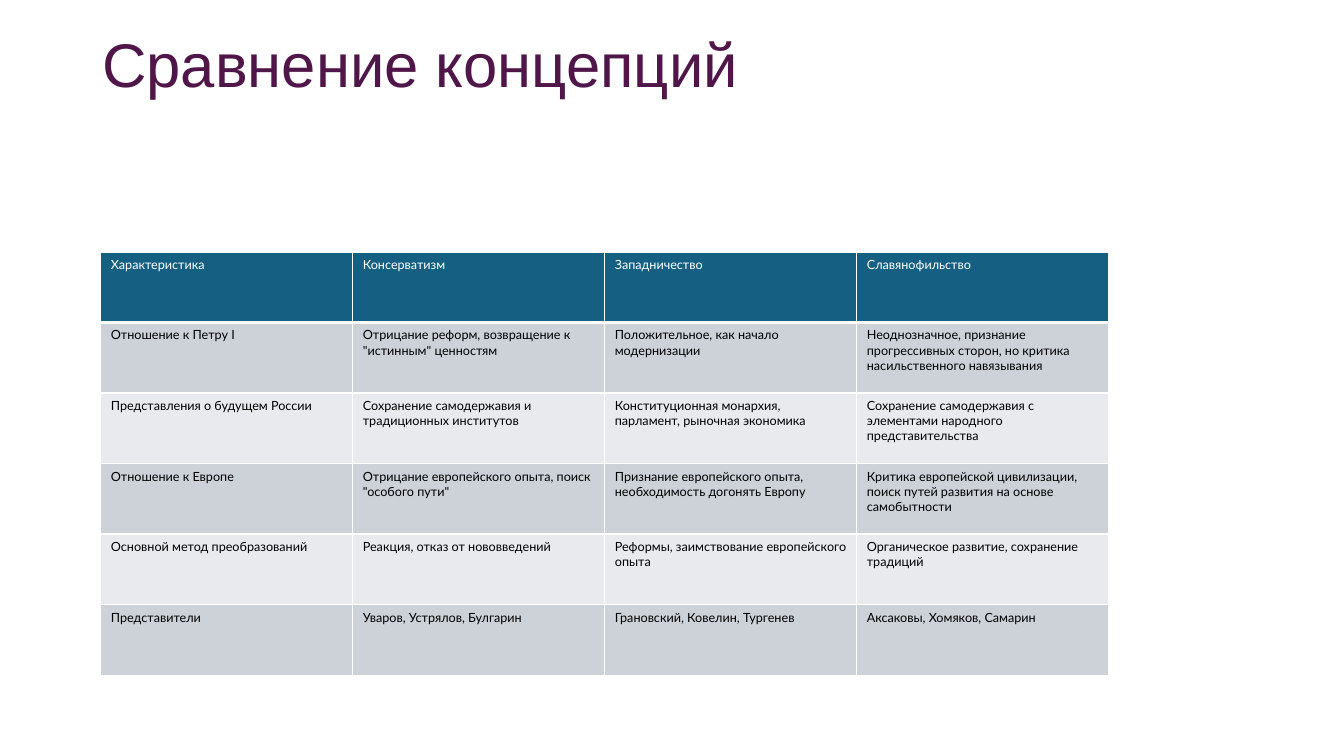
from lxml import etree
from pptx import Presentation
from pptx.dml.color import RGBColor
from pptx.enum.text import MSO_ANCHOR
from pptx.oxml.ns import qn
from pptx.util import Pt

MIDDLE = MSO_ANCHOR.MIDDLE

PLUM = "501649"
TEAL = "156082"
DARK_BAND = "CCD2D8"
LIGHT_BAND = "E8EAED"
WHITE = "FFFFFF"
BLACK = "000000"

COLUMN_WIDTH = 180
ROW_HEIGHT = 50.4

CONCEPTS = [
    ["Характеристика", "Консерватизм", "Западничество", "Славянофильство"],
    [
        "Отношение к Петру I",
        'Отрицание реформ, возвращение к "истинным" ценностям',
        "Положительное, как начало модернизации",
        "Неоднозначное, признание прогрессивных сторон, но критика насильственного навязывания",
    ],
    [
        "Представления о будущем России",
        "Сохранение самодержавия и традиционных институтов",
        "Конституционная монархия, парламент, рыночная экономика",
        "Сохранение самодержавия с элементами народного представительства",
    ],
    [
        "Отношение к Европе",
        'Отрицание европейского опыта, поиск "особого пути"',
        "Признание европейского опыта, необходимость догонять Европу",
        "Критика европейской цивилизации, поиск путей развития на основе самобытности",
    ],
    [
        "Основной метод преобразований",
        "Реакция, отказ от нововведений",
        "Реформы, заимствование европейского опыта",
        "Органическое развитие, сохранение традиций",
    ],
    [
        "Представители",
        "Уваров, Устрялов, Булгарин",
        "Грановский, Ковелин, Тургенев",
        "Аксаковы, Хомяков, Самарин",
    ],
]


def color(value):
    return RGBColor.from_string(value)


def style_font(paragraph, name, size, value):
    font = paragraph.font
    font.name = name
    font.size = Pt(size)
    font.bold = False
    font.color.rgb = color(value)


def add_title(slide, text):
    shape = slide.shapes.add_textbox(Pt(66), Pt(15.84), Pt(828), Pt(64.8))
    frame = shape.text_frame
    frame.word_wrap = True
    frame.vertical_anchor = MIDDLE
    paragraph = frame.paragraphs[0]
    paragraph.text = text
    paragraph.line_spacing = 0.9
    style_font(paragraph, "Arial", 44, PLUM)


def add_borders(cell, bottom_width):
    properties = cell._tc.get_or_add_tcPr()
    for side, width in (("L", 1), ("R", 1), ("T", 1), ("B", bottom_width)):
        line = etree.SubElement(properties, qn(f"a:ln{side}"), w=str(Pt(width)))
        fill = etree.SubElement(line, qn("a:solidFill"))
        etree.SubElement(fill, qn("a:srgbClr"), val=WHITE)


def fill_cell(cell, text, background, foreground, bottom_width):
    add_borders(cell, bottom_width)
    cell.fill.solid()
    cell.fill.fore_color.rgb = color(background)
    paragraph = cell.text_frame.paragraphs[0]
    paragraph.text = text
    style_font(paragraph, "Lato", 9, foreground)


def add_comparison(slide, rows):
    row_count, column_count = len(rows), len(rows[0])
    table = slide.shapes.add_table(
        row_count, column_count, Pt(72), Pt(180),
        Pt(COLUMN_WIDTH * column_count), Pt(ROW_HEIGHT * row_count),
    ).table
    for row_index, texts in enumerate(rows):
        if row_index == 0:
            look = (TEAL, WHITE, 3)
        else:
            look = (DARK_BAND if row_index % 2 else LIGHT_BAND, BLACK, 1)
        for column_index, text in enumerate(texts):
            fill_cell(table.cell(row_index, column_index), text, *look)


def main():
    presentation = Presentation()
    presentation.slide_width = Pt(960)
    presentation.slide_height = Pt(540)
    slide = presentation.slides.add_slide(presentation.slide_layouts[6])
    add_title(slide, "Сравнение концепций")
    add_comparison(slide, CONCEPTS)
    presentation.save("out.pptx")


if __name__ == "__main__":
    main()
